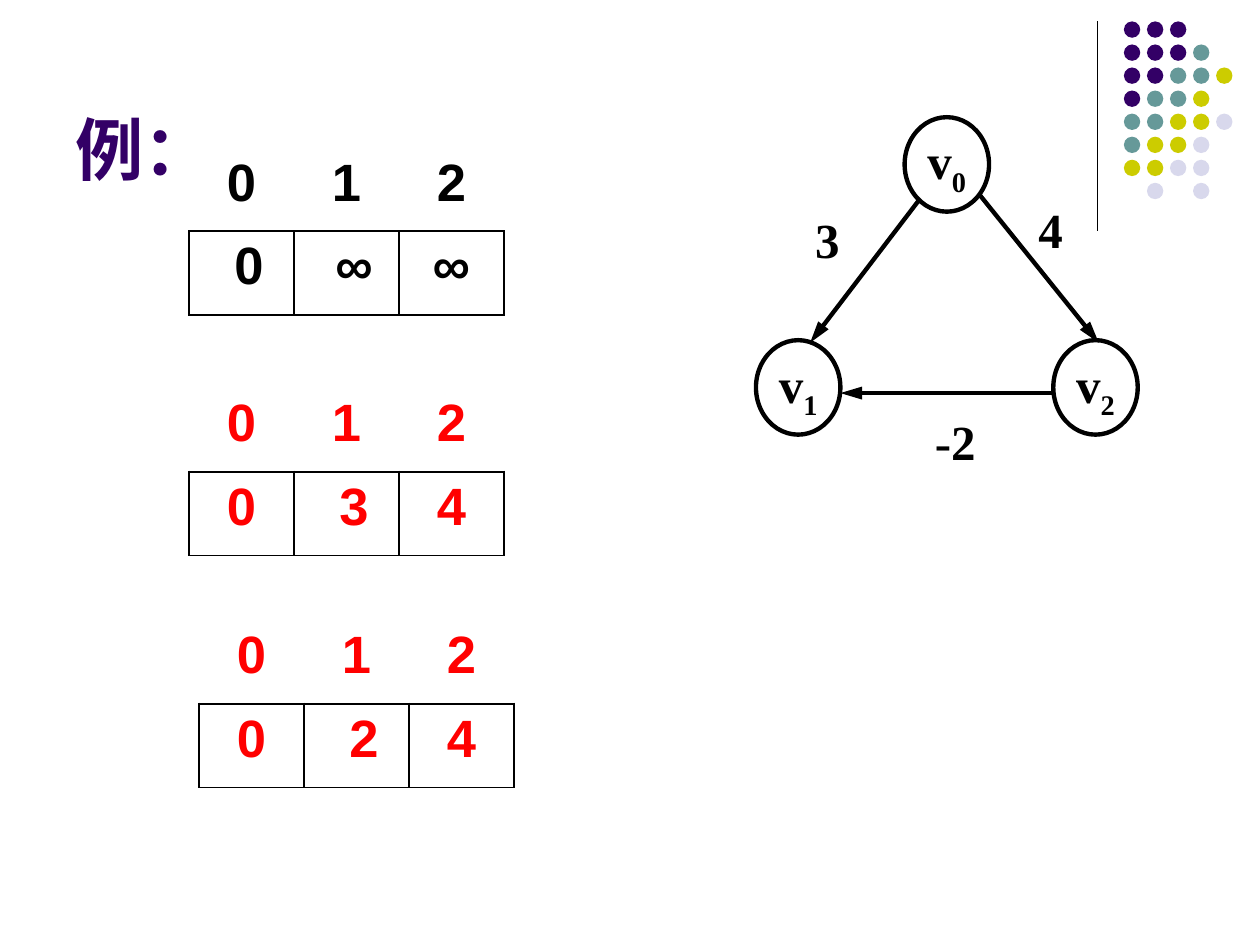
"""Build a slide showing shortest-path distance tables beside a weighted graph."""
from pptx import Presentation
from pptx.dml.color import RGBColor
from pptx.enum.shapes import MSO_CONNECTOR, MSO_SHAPE
from pptx.enum.text import MSO_ANCHOR, MSO_AUTO_SIZE, PP_ALIGN
from pptx.oxml.ns import qn
from pptx.util import Inches, Pt
from lxml import etree

STRAIGHT = MSO_CONNECTOR.STRAIGHT
OVAL = MSO_SHAPE.OVAL
CENTER, LEFT = PP_ALIGN.CENTER, PP_ALIGN.LEFT
MIDDLE, BOTTOM = MSO_ANCHOR.MIDDLE, MSO_ANCHOR.BOTTOM
GROW, FIXED = MSO_AUTO_SIZE.SHAPE_TO_FIT_TEXT, MSO_AUTO_SIZE.NONE

THEME = {
    "purple": "330066", "teal": "669999", "olive": "CCCC00", "lilac": "D8D8EC",
    "black": "000000", "red": "FF0000",
    "sans": "Arial", "serif": "Times New Roman",
    "title": 39, "cell": 30, "graph": 28,
    "rule": 0.75, "graph_line": 2.5, "inner": 1.47, "outer": 1.08,
}
NO_GRID_STYLE = "{2D5ABB26-0587-4C30-8999-92F81FD0307C}"

TITLE = "例："
DOT_COLORS = {"P": "purple", "T": "teal", "O": "olive", "L": "lilac"}
DOT_ROWS = ["PPP", "PPPT", "PPTTO", "PTTO", "TTOOL", "TOOL", "OOLL", ".L.L"]
DOT_LEFT, DOT_TOP, DOT_PITCH, DOT_SIZE = 8.92, 0.17, 0.183, 0.13

NODES = [("0", 7.18, 0.93), ("1", 6, 2.7), ("2", 8.36, 2.7)]
NODE_WIDTH, NODE_HEIGHT = 0.67, 0.75
EDGES = [
    ((7.3, 1.58), (6.43, 2.72)),
    ((7.77, 1.54), (8.72, 2.72)),
    ((8.36, 3.12), (6.67, 3.12)),
]
WEIGHTS = [("4", 8.24, 1.58, 0.28), ("3", 6.47, 1.66, 0.28), ("-2", 7.42, 3.27, 0.58)]

INDICES = ["0", "1", "2"]
DISTANCE_TABLES = [
    {"left": 1.5, "top": 1.17, "color": "black", "values": ["0", "∞", "∞"], "nudged": {0, 1}},
    {"left": 1.58, "top": 4.92, "color": "red", "values": ["0", "2", "4"], "nudged": {1}},
    {"left": 1.5, "top": 3.08, "color": "red", "values": ["0", "3", "4"], "nudged": {1}},
]
TABLE_WIDTH, TABLE_HEIGHT = 2.5, 1.33
NUDGED_MARGIN = 0.22


def rgb(name):
    return RGBColor.from_string(THEME[name])


def add_run(paragraph, text, size, font, color):
    run = paragraph.add_run()
    run.text = text
    run.font.size = Pt(THEME[size])
    run.font.name = THEME[font]
    run.font.bold = True
    run.font.color.rgb = rgb(color)
    return run


def add_line(shapes, start, end, width, arrow=False):
    points = [Inches(value) for value in (*start, *end)]
    connector = shapes.add_connector(STRAIGHT, *points)
    connector.line.color.rgb = rgb("black")
    connector.line.width = Pt(THEME[width])
    if arrow:
        line = connector.line._get_or_add_ln()
        etree.SubElement(line, qn("a:tailEnd"), type="triangle", w="med", len="lg")
    etree.SubElement(connector._element.spPr, qn("a:effectLst"))


def add_oval(shapes, left, top, width, height):
    oval = shapes.add_shape(OVAL, Inches(left), Inches(top), Inches(width), Inches(height))
    oval.shadow.inherit = False
    return oval


def clear_margins(frame):
    frame.margin_left = frame.margin_right = frame.margin_top = frame.margin_bottom = 0
    frame.word_wrap = True
    frame.auto_size = GROW


def add_dots(slide):
    shapes = slide.shapes.add_group_shape().shapes
    for row, codes in enumerate(DOT_ROWS):
        for column, code in enumerate(codes):
            if code in DOT_COLORS:
                dot = add_oval(shapes, DOT_LEFT + column * DOT_PITCH,
                               DOT_TOP + row * DOT_PITCH, DOT_SIZE, DOT_SIZE)
                dot.fill.solid()
                dot.fill.fore_color.rgb = rgb(DOT_COLORS[code])
                dot.line.fill.background()


def add_title(slide):
    title = slide.shapes.title
    title.left, title.top = Inches(0.5), Inches(0.13)
    title.width, title.height = Inches(8.25), Inches(1.42)
    frame = title.text_frame
    frame.vertical_anchor = BOTTOM
    frame.auto_size = FIXED
    paragraph = frame.paragraphs[0]
    paragraph.alignment = LEFT
    add_run(paragraph, TITLE, "title", "sans", "purple")


def add_graph(slide):
    shapes = slide.shapes.add_group_shape().shapes
    for subscript, left, top in NODES:
        node = add_oval(shapes, left, top, NODE_WIDTH, NODE_HEIGHT)
        node.fill.background()
        node.line.color.rgb = rgb("black")
        node.line.width = Pt(THEME["graph_line"])
        frame = node.text_frame
        clear_margins(frame)
        frame.vertical_anchor = MIDDLE
        paragraph = frame.paragraphs[0]
        paragraph.alignment = CENTER
        add_run(paragraph, "v", "graph", "serif", "black")
        lowered = add_run(paragraph, subscript, "graph", "serif", "black")
        lowered._r.get_or_add_rPr().set("baseline", "-25000")
    for start, end in EDGES:
        add_line(shapes, start, end, "graph_line", arrow=True)
    for text, left, top, width in WEIGHTS:
        box = shapes.add_textbox(Inches(left), Inches(top), Inches(width), Inches(0.47))
        clear_margins(box.text_frame)
        add_run(box.text_frame.paragraphs[0], text, "graph", "serif", "black")


def add_borders(cell, widths):
    properties = cell._tc.get_or_add_tcPr()
    for side, width in widths.items():
        line = etree.SubElement(properties, qn(f"a:ln{side}"), w=str(Pt(THEME[width])))
        fill = etree.SubElement(line, qn("a:solidFill"))
        etree.SubElement(fill, qn("a:srgbClr"), val=THEME["black"])


def add_distance_table(slide, data):
    frame = slide.shapes.add_table(2, len(INDICES), Inches(data["left"]), Inches(data["top"]),
                                   Inches(TABLE_WIDTH), Inches(TABLE_HEIGHT))
    table = frame.table
    table.first_row = table.horz_banding = False
    table._tbl.tblPr.find(qn("a:tableStyleId")).text = NO_GRID_STYLE
    last = len(INDICES) - 1
    for row, texts in enumerate((INDICES, data["values"])):
        for column, text in enumerate(texts):
            cell = table.cell(row, column)
            if row == 0:
                add_borders(cell, {"B": "inner"})
            else:
                add_borders(cell, {"L": "inner" if column else "outer",
                                   "R": "inner" if column < last else "outer",
                                   "T": "inner", "B": "outer"})
                if column in data["nudged"]:
                    cell.margin_left = Inches(NUDGED_MARGIN)
            cell.fill.background()
            paragraph = cell.text_frame.paragraphs[0]
            paragraph.alignment = CENTER
            add_run(paragraph, text, "cell", "sans", data["color"])


def main():
    presentation = Presentation()
    presentation.slide_width, presentation.slide_height = Inches(10), Inches(7.5)
    slide = presentation.slides.add_slide(presentation.slide_layouts[5])
    add_line(slide.shapes, (8.71, 0.17), (8.71, 1.83), "rule")
    add_dots(slide)
    add_title(slide)
    add_graph(slide)
    for data in DISTANCE_TABLES:
        add_distance_table(slide, data)
    presentation.save("out.pptx")


if __name__ == "__main__":
    main()
